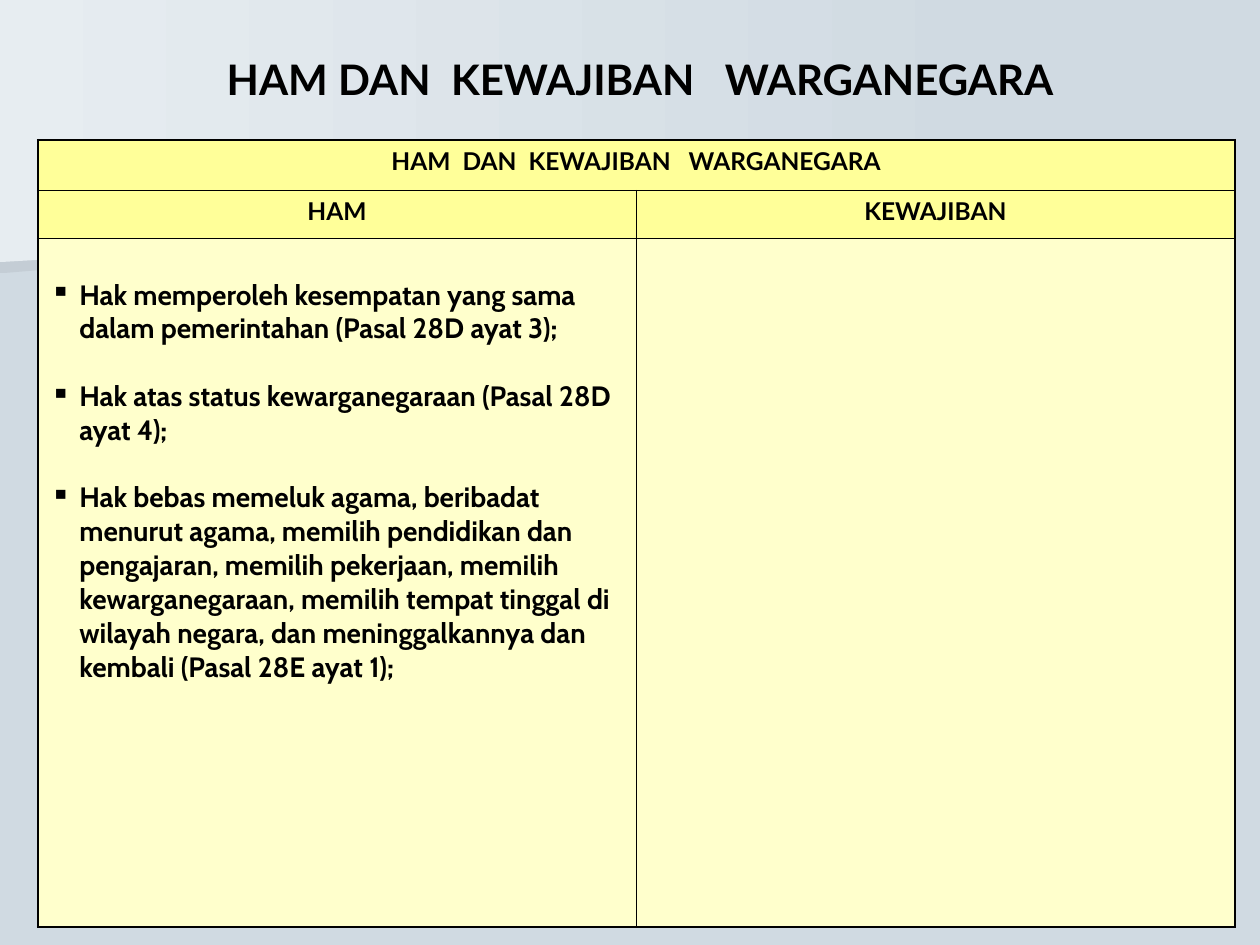
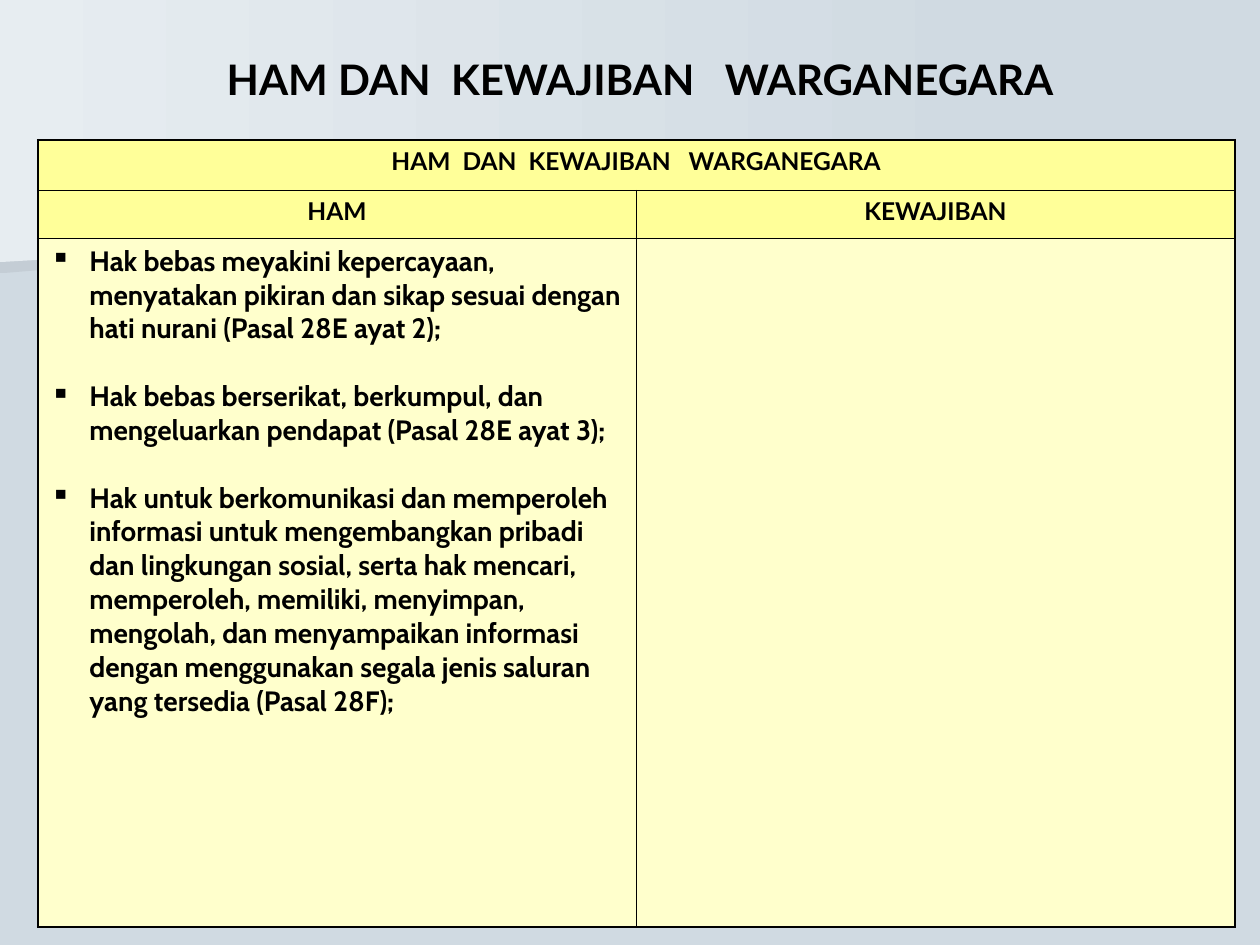
import pptx
import pptx.util
import pptx.dml.color
import pptx.enum.text
import pptx.oxml
import pptx.oxml.ns
from lxml import etree

Inches = pptx.util.Inches
Pt = pptx.util.Pt
RGBColor = pptx.dml.color.RGBColor
ALIGN = pptx.enum.text.PP_ALIGN
ANCHOR = pptx.enum.text.MSO_ANCHOR

BLACK = RGBColor(0x00, 0x00, 0x00)
MIST = RGBColor(0xD0, 0xDA, 0xE2)
SHADE = RGBColor(0xC4, 0xCD, 0xD5)
LIGHT = RGBColor(0xE7, 0xED, 0xF1)
YELLOW = RGBColor(0xFF, 0xFF, 0x99)
CREAM = RGBColor(0xFF, 0xFF, 0xCC)

TITLE = {"name": "Lato", "size": Pt(24), "bold": True}
HEAD = {"name": "Lato", "size": Pt(14), "bold": True}
BODY = {"name": "Cabin", "size": Pt(16), "bold": True}
LINE = 19.3
THICK, THIN = Pt(1.08), Pt(0.45)

BANDS = [
    (SHADE, [(7.78, 1.53), (0, 2.17), (0, 1.01), (7.79, 1.01), (7.78, 1.28)]),
    (LIGHT, [(7.92, 1.62), (0, 2.08), (0, 0), (7.92, 0)]),
]

PAGES = [
    {
        "indent": 0.23,
        "top": 0.05 + LINE / 72,
        "rights": [
            "Hak memperoleh kesempatan yang sama dalam pemerintahan (Pasal 28D ayat 3);",
            "Hak atas status kewarganegaraan (Pasal 28D ayat 4);",
            "Hak bebas memeluk agama, beribadat menurut agama, memilih pendidikan dan "
            "pengajaran, memilih pekerjaan, memilih kewarganegaraan, memilih tempat tinggal "
            "di wilayah negara, dan meninggalkannya dan kembali (Pasal 28E ayat 1);",
        ],
    },
    {
        "indent": 0.31,
        "top": 0.05,
        "rights": [
            "Hak bebas meyakini kepercayaan, menyatakan pikiran dan sikap sesuai dengan "
            "hati nurani (Pasal 28E ayat 2);",
            "Hak bebas berserikat, berkumpul, dan mengeluarkan pendapat (Pasal 28E ayat 3);",
            "Hak untuk berkomunikasi dan memperoleh informasi untuk mengembangkan pribadi "
            "dan lingkungan sosial, serta hak mencari, memperoleh, memiliki, menyimpan, "
            "mengolah, dan menyampaikan informasi dengan menggunakan segala jenis saluran "
            "yang tersedia (Pasal 28F);",
        ],
    },
]


def add_tag(parent, tag, **values):
    child = etree.SubElement(parent, pptx.oxml.ns.qn(tag))
    for key, value in values.items():
        child.set(key, str(value))
    return child


def write(para, text, style):
    run = para.add_run()
    run.text = text
    for key, value in style.items():
        setattr(run.font, key, value)
    run.font.color.rgb = BLACK


def draw_band(slide, color, points):
    spots = [(Inches(x), Inches(y)) for x, y in points]
    pen = slide.shapes.build_freeform(*spots[0])
    pen.add_line_segments(spots[1:], close=True)
    band = pen.convert_to_shape()
    band.shadow.inherit = False
    band.line.fill.background()
    band.fill.gradient()
    band.fill.gradient_angle = 0
    for stop, tint in zip(band.fill.gradient_stops, (color, MIST)):
        stop.color.rgb = tint
    return band


def dress_layout(slide):
    layout = slide.slide_layout
    layout.background.fill.solid()
    layout.background.fill.fore_color.rgb = MIST
    for place, (color, points) in enumerate(BANDS, 2):
        band = draw_band(slide, color, points)
        layout.shapes.element.insert(place, band.element)


def add_title(slide, text):
    title = slide.shapes.title
    title.left, title.top = Inches(0.58), Inches(0)
    title.width, title.height = Inches(9), Inches(1.25)
    title.text_frame.vertical_anchor = ANCHOR.MIDDLE
    para = title.text_frame.paragraphs[0]
    para.alignment = ALIGN.CENTER
    write(para, text, TITLE)


def frame_cell(cell, row, col):
    widths = {
        "a:lnL": THICK if col == 0 else THIN,
        "a:lnR": THICK if col == 1 or row == 0 else THIN,
        "a:lnT": THICK if row == 0 else THIN,
        "a:lnB": THICK if row == 2 else THIN,
    }
    props = cell._tc.get_or_add_tcPr()
    for tag, width in widths.items():
        fill = add_tag(add_tag(props, tag, w=int(width)), "a:solidFill")
        add_tag(fill, "a:srgbClr", val=BLACK)
    cell.fill.solid()
    cell.fill.fore_color.rgb = CREAM if row == 2 else YELLOW


def fill_head(cell, text):
    para = cell.text_frame.paragraphs[0]
    para.alignment = ALIGN.CENTER
    write(para, text, HEAD)


def fill_list(cell, items, indent, top):
    cell.margin_top = Inches(top)
    frame = cell.text_frame
    for rank, item in enumerate(items):
        para = frame.add_paragraph() if rank else frame.paragraphs[0]
        props = para._p.get_or_add_pPr()
        props.set("marL", str(Inches(indent)))
        props.set("indent", str(-Inches(indent)))
        add_tag(add_tag(props, "a:buClr"), "a:srgbClr", val=BLACK)
        add_tag(props, "a:buChar", char="▪")
        if rank:
            para.space_before = Pt(LINE)
        write(para, item, BODY)


def add_grid(slide, page):
    place = Inches(0.3), Inches(1.11), Inches(9.5), Inches(6.25)
    table = slide.shapes.add_table(3, 2, *place).table
    table.first_row = table.horz_banding = False
    for row, height in zip(table.rows, (0.4, 0.38, 5.47)):
        row.height = Inches(height)
    for row in range(3):
        for col in range(2):
            frame_cell(table.cell(row, col), row, col)
    table.cell(0, 0).merge(table.cell(0, 1))
    fill_head(table.cell(0, 0), "HAM  DAN  KEWAJIBAN   WARGANEGARA")
    fill_head(table.cell(1, 0), "HAM")
    fill_head(table.cell(1, 1), "KEWAJIBAN")
    fill_list(table.cell(2, 0), page["rights"], page["indent"], page["top"])


def main():
    deck = pptx.Presentation()
    deck.slide_width, deck.slide_height = Inches(10), Inches(7.5)
    for rank, page in enumerate(PAGES):
        slide = deck.slides.add_slide(deck.slide_layouts[5])
        if rank == 0:
            dress_layout(slide)
        add_title(slide, "HAM DAN  KEWAJIBAN   WARGANEGARA")
        add_grid(slide, page)
    deck.save("out.pptx")


if __name__ == "__main__":
    main()
